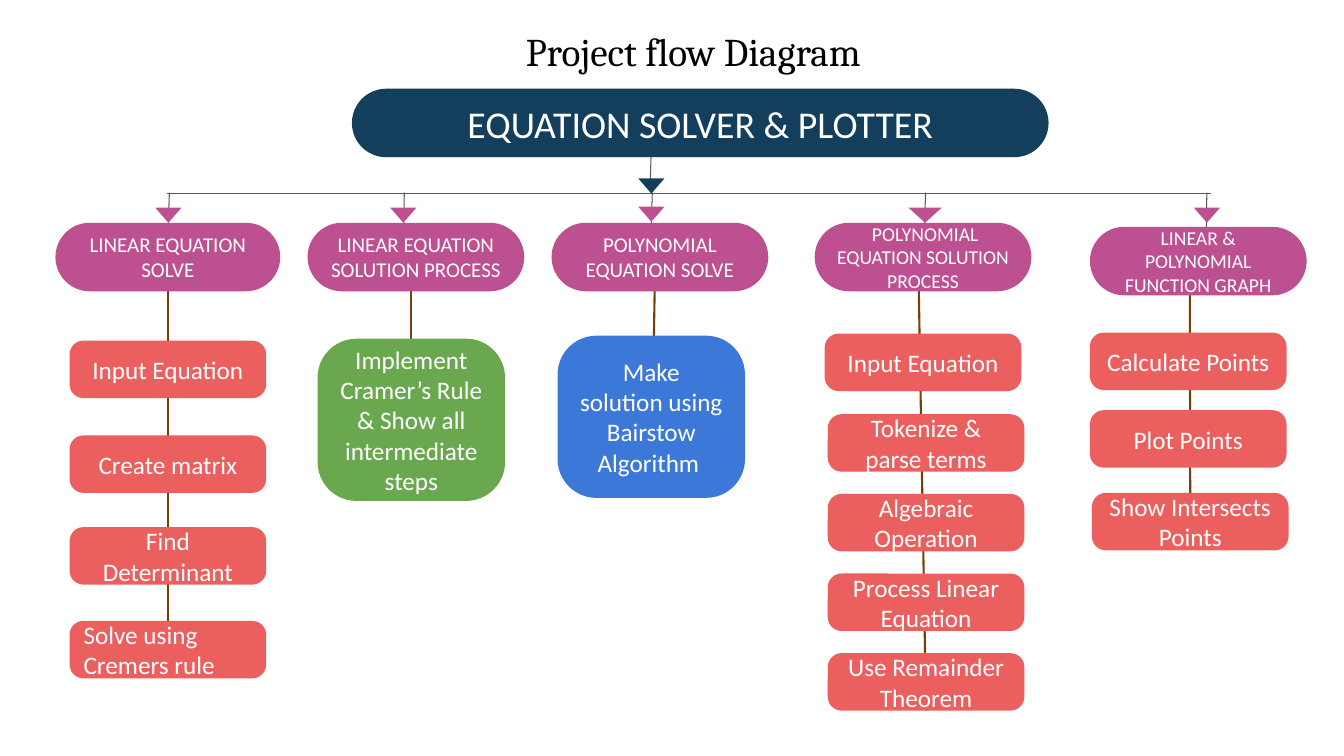
from dataclasses import dataclass
from typing import Any, Optional

import pptx
import pptx.dml.color
import pptx.enum.shapes
import pptx.enum.text
import pptx.oxml.ns
import pptx.util
from lxml import etree

Inches = pptx.util.Inches
Shape = pptx.enum.shapes.MSO_SHAPE
Align = pptx.enum.text.PP_ALIGN
Anchor = pptx.enum.text.MSO_ANCHOR

NAVY, PURPLE, CORAL = "133F5C", "BC5090", "EB5F5E"
GREEN, BLUE, BROWN, GREY = "6AA84F", "3C78D8", "783F04", "595959"
BUS_TOP, DROP_END = 1.91, 2.53
TOP, BOTTOM = 0, 2


@dataclass
class Box:
    text: str
    left: float
    top: float
    width: float = 1.95
    height: float = 0.57
    fill: str = CORAL
    size: float = 18
    corner: float = 0.24
    align: Any = Align.CENTER


@dataclass
class Arrow:
    left: float
    top: float = 2.06
    width: float = 0.26
    fill: str = PURPLE


@dataclass
class Column:
    heading: Box
    steps: list[Box]
    drop: tuple[float, float]
    arrow: Arrow
    trunk_start: Optional[tuple[float, float]] = None
    trunk_site: int = BOTTOM


def pill(text: str, left: float, top: float = 2.21, width: float = 2.15,
         size: float = 15, fill: str = PURPLE) -> Box:
    return Box(text, left, top, width, 0.68, fill, size, 0.5)


def rgb(value: str) -> pptx.dml.color.RGBColor:
    return pptx.dml.color.RGBColor.from_string(value)


def set_all(obj: Any, values: dict[str, Any]) -> None:
    for name, value in values.items():
        setattr(obj, name, value)


def write(sp: Any, text: str, size: float, font: str, color: str,
          align: Any, anchor: Any) -> None:
    tf = sp.text_frame
    set_all(tf, {
        "word_wrap": True, "auto_size": pptx.enum.text.MSO_AUTO_SIZE.NONE,
        "vertical_anchor": anchor,
        "margin_left": Inches(0.1), "margin_right": Inches(0.1),
        "margin_top": Inches(0.05), "margin_bottom": Inches(0.05),
    })
    p = tf.paragraphs[0]
    p.alignment = align
    r = p.add_run()
    r.text = text
    set_all(r.font, {"size": pptx.util.Pt(size), "name": font})
    r.font.color.rgb = rgb(color)


def draw_shape(s: Any, kind: Any, left: float, top: float, width: float,
               height: float, fill: str) -> Any:
    sp = s.shapes.add_shape(kind, Inches(left), Inches(top), Inches(width), Inches(height))
    sp.shadow.inherit = False
    sp.fill.solid()
    sp.fill.fore_color.rgb = rgb(fill)
    sp.line.fill.background()
    return sp


def draw_box(s: Any, box: Box) -> Any:
    sp = draw_shape(s, Shape.ROUNDED_RECTANGLE, box.left, box.top,
                    box.width, box.height, box.fill)
    sp.adjustments[0] = box.corner
    write(sp, box.text, box.size, "Calibri", "FFFFFF", box.align, Anchor.MIDDLE)
    return sp


def draw_arrow(s: Any, arrow: Arrow) -> None:
    sp = draw_shape(s, Shape.ISOSCELES_TRIANGLE, arrow.left, arrow.top,
                    arrow.width, 0.15, arrow.fill)
    sp.rotation = 180


def draw_line(s: Any, start: tuple[float, float], end: tuple[float, float],
              color: str = GREY, width: float = 0.75) -> Any:
    cxn = s.shapes.add_connector(pptx.enum.shapes.MSO_CONNECTOR.STRAIGHT,
                                 *(Inches(v) for v in start + end))
    cxn.line.color.rgb = rgb(color)
    cxn.line.width = pptx.util.Pt(width)
    etree.SubElement(cxn._element.spPr, pptx.oxml.ns.qn("a:effectLst"))
    return cxn


ROOT = pill("EQUATION SOLVER & PLOTTER", 3.49, 0.88, 6.91, 27, NAVY)
PROCESS_STEPS = ["Tokenize & parse terms", "Algebraic Operation",
                 "Process Linear Equation", "Use Remainder Theorem"]
COLUMNS = [
    Column(
        pill("LINEAR EQUATION SOLVE", 0.55, width=2.23),
        [Box("Input Equation", 0.69, 3.38),
         Box("Create matrix", 0.69, 4.32),
         Box("Find Determinant", 0.69, 5.23),
         Box("Solve using Cremers rule", 0.69, 6.16, align=Align.LEFT)],
        (1.68, 1.66), Arrow(1.54)),
    Column(
        pill("LINEAR EQUATION SOLUTION PROCESS", 3.05),
        [Box("Implement Cramer’s Rule & Show all intermediate steps",
             3.15, 3.36, 1.86, 1.61, GREEN)],
        (4.01, 4), Arrow(3.87), (4.08, 2.35)),
    Column(
        pill("POLYNOMIAL EQUATION SOLVE", 5.47),
        [Box("Make solution using Bairstow Algorithm ",
             5.53, 3.33, 1.86, 1.61, BLUE)],
        (6.47, 6.45), Arrow(6.33, 2.05), (6.5, 2.44)),
    Column(
        pill(" POLYNOMIAL EQUATION SOLUTION PROCESS", 8.08, size=14),
        [Box("Input Equation", 8.18, 3.31)]
        + [Box(text, 8.21, 4.11 + 0.79 * i) for i, text in enumerate(PROCESS_STEPS)],
        (9.18, 9.16), Arrow(9.01, width=0.33), (9.11, 2.71)),
    Column(
        pill("LINEAR & POLYNOMIAL FUNCTION GRAPH", 10.81, 2.25, size=14),
        [Box("Calculate Points", 10.81, 3.3),
         Box("Plot Points", 10.81, 4.07),
         Box("Show Intersects Points", 10.83, 4.89)],
        (11.97, 11.96), Arrow(11.84), (11.8, 2.25), TOP),
]


def draw_title(s: Any) -> None:
    sp = s.shapes.title
    set_all(sp, {"left": Inches(4.67), "top": Inches(0.22),
                 "width": Inches(4.41), "height": Inches(0.57)})
    write(sp, "Project flow Diagram", 28, "Cambria", "000000", Align.CENTER, Anchor.TOP)


def main() -> None:
    prs = pptx.Presentation()
    set_all(prs, {"slide_width": Inches(13.33), "slide_height": Inches(7.5)})
    s = prs.slides.add_slide(prs.slide_layouts[5])
    draw_title(s)

    trunks = []
    for col in COLUMNS:
        start = col.trunk_start or (col.heading.left, col.heading.top)
        trunks.append(draw_line(s, start, start, BROWN, 1.5))
        draw_line(s, (col.drop[0], BUS_TOP), (col.drop[1], DROP_END))
    draw_line(s, (6.47, 1.16), (6.45, 1.78))
    draw_line(s, (12.01, 1.92), (1.66, 1.92))

    draw_box(s, ROOT)
    draw_arrow(s, Arrow(6.33, 1.77, fill=NAVY))
    for col, trunk in zip(COLUMNS, trunks):
        heading = draw_box(s, col.heading)
        draw_arrow(s, col.arrow)
        steps = [draw_box(s, step) for step in col.steps]
        if col.trunk_start is None:
            trunk.begin_connect(heading, BOTTOM)
        trunk.end_connect(steps[-1], col.trunk_site)

    prs.save("out.pptx")


if __name__ == "__main__":
    main()
